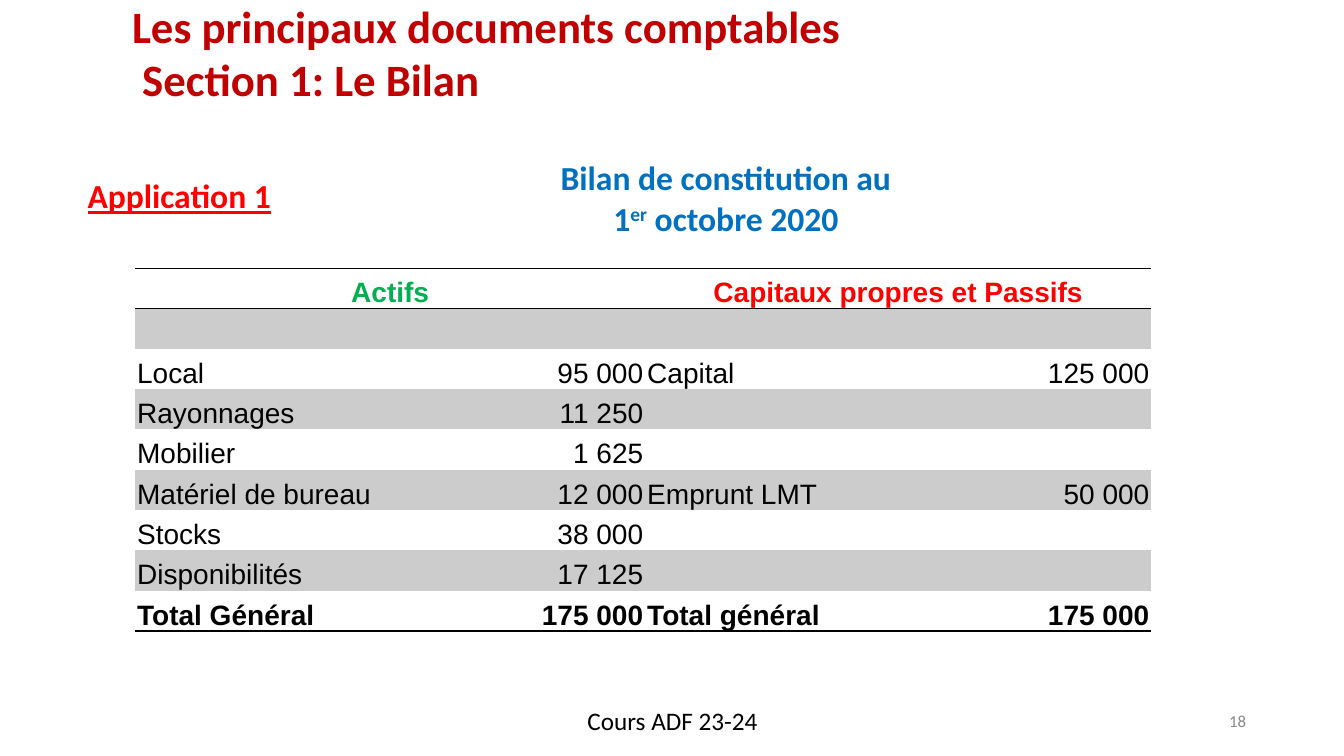
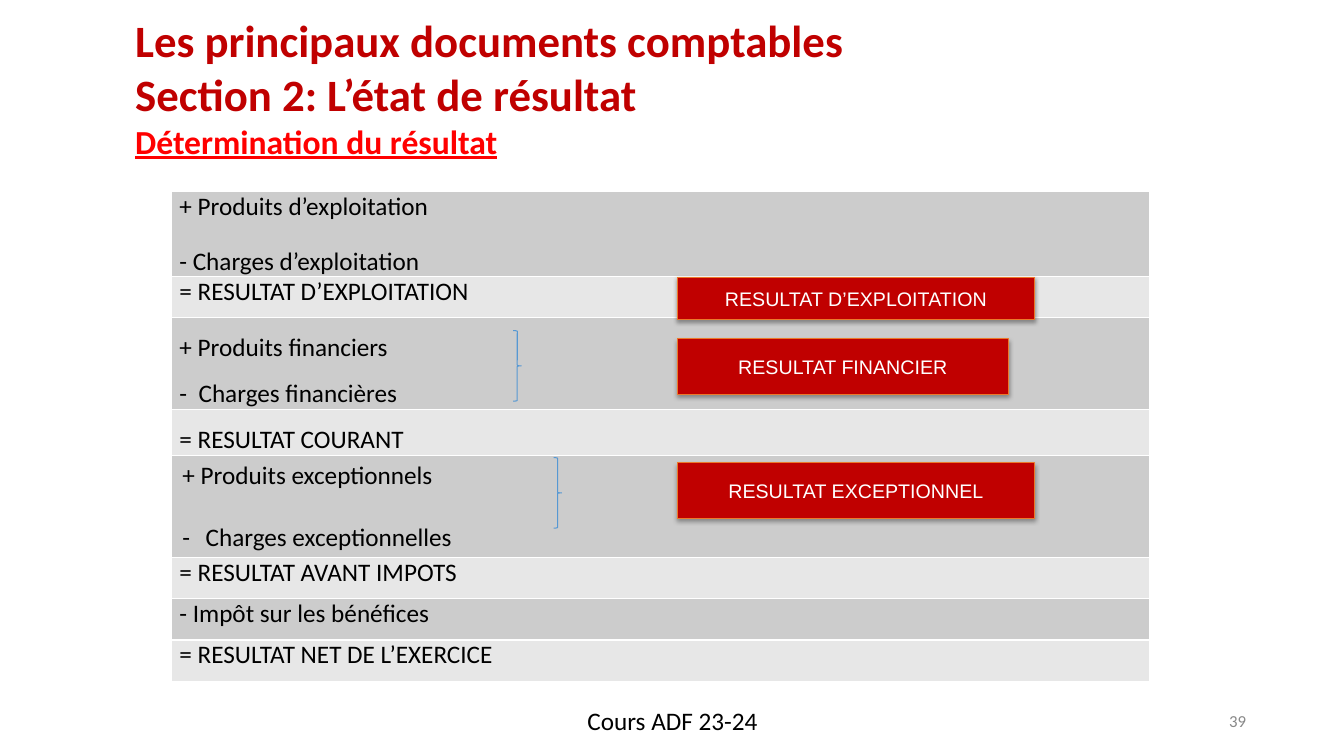
from lxml import etree
from pptx import Presentation
from pptx.dml.color import RGBColor
from pptx.enum.shapes import MSO_SHAPE
from pptx.enum.text import MSO_ANCHOR, MSO_AUTO_SIZE, PP_ALIGN
from pptx.oxml.ns import qn
from pptx.util import Inches, Pt

# Shared palette and fonts
DARK_RED, RED, BLUE, GREEN = "C00000", "FF0000", "0070C0", "00B050"
BLACK, WHITE, GREY = "000000", "FFFFFF", "888888"
BAND_DARK, BAND_LIGHT = "CCCCCC", "E7E7E7"
BRACE_BLUE, ORANGE = "5698D3", "EC792B"
HEADING_FONT, FIGURE_FONT = "Calibri", "Arial"
PLAIN_TABLE = "{2D5ABB26-0587-4C30-8999-92F81FD0307C}"
LEFT, CENTER, RIGHT = PP_ALIGN.LEFT, PP_ALIGN.CENTER, PP_ALIGN.RIGHT


def rgb(value):
    return RGBColor.from_string(value)


def add_xml(parent, tag, **attributes):
    return etree.SubElement(parent, qn(tag), {k: str(v) for k, v in attributes.items()})


class Deck:
    def __init__(self):
        self.prs = Presentation()
        self.prs.slide_width, self.prs.slide_height = Inches(13.33), Inches(7.5)
        self.slide = None

    def new_slide(self, number):
        self.slide = self.prs.slides.add_slide(self.prs.slide_layouts[5])
        self.text((4.56, 6.95, 4.22, 0.4), "Cours ADF 23-24", 18, align=CENTER)
        self.text((12.03, 7, 0.38, 0.3), number, 12, GREY, align=RIGHT,
                  anchor=MSO_ANCHOR.MIDDLE, margin=0.05)

    def run(self, paragraph, text, size, color=BLACK, font=HEADING_FONT,
            bold=False, underline=False, raised=False):
        run = paragraph.add_run()
        run.text = text
        run.font.size, run.font.name = Pt(size), font
        run.font.bold, run.font.underline = bold, underline
        run.font.color.rgb = rgb(color)
        if raised:
            run._r.get_or_add_rPr().set("baseline", "30000")

    def title(self, box, lines, spacing=1.0, gap=0):
        """Each line is (text, size, colour, underlined)."""
        title = self.slide.shapes.title
        title.left, title.top, title.width, title.height = map(Inches, box)
        frame = title.text_frame
        frame.auto_size, frame.word_wrap = MSO_AUTO_SIZE.NONE, True
        frame.vertical_anchor = MSO_ANCHOR.TOP
        for i, (text, size, color, underline) in enumerate(lines):
            paragraph = frame.add_paragraph() if i else frame.paragraphs[0]
            paragraph.alignment, paragraph.line_spacing = LEFT, spacing
            paragraph.space_before = Pt(gap if i else 0)
            self.run(paragraph, text, size, color, bold=True, underline=underline)

    def text(self, box, text, size, color=BLACK, align=LEFT,
             anchor=MSO_ANCHOR.TOP, margin=0.1, **style):
        """Text is one string or a list of (string, raised) runs."""
        frame = self.slide.shapes.add_textbox(*map(Inches, box)).text_frame
        frame.word_wrap, frame.vertical_anchor = True, anchor
        frame.margin_left = frame.margin_right = Inches(margin)
        paragraph = frame.paragraphs[0]
        paragraph.alignment = align
        for part, raised in [(text, False)] if isinstance(text, str) else text:
            self.run(paragraph, part, size, color, raised=raised, **style)

    def table(self, left, top, widths, heights):
        frame = self.slide.shapes.add_table(
            len(heights), len(widths), Inches(left), Inches(top),
            Inches(sum(widths)), Inches(sum(heights)))
        table = frame.table
        table.first_row = table.horz_banding = False
        for style_id in frame.element.iter(qn("a:tableStyleId")):
            style_id.text = PLAIN_TABLE
        for column, width in zip(table.columns, widths):
            column.width = Inches(width)
        for row, height in zip(table.rows, heights):
            row.height = Inches(height)
        return table

    def cell(self, cell, fill, margins, anchor=MSO_ANCHOR.TOP, borders=()):
        """Borders are (tag, colour) pairs, in the order lnT, lnB."""
        properties = cell._tc.get_or_add_tcPr()
        for tag, color in borders:
            line = add_xml(properties, tag, w=Pt(1))
            add_xml(add_xml(line, "a:solidFill"), "a:srgbClr", val=color)
        if fill:
            cell.fill.solid()
            cell.fill.fore_color.rgb = rgb(fill)
        else:
            cell.fill.background()
        cell.vertical_anchor = anchor
        (cell.margin_left, cell.margin_top,
         cell.margin_right, cell.margin_bottom) = map(Inches, margins)

    def hang(self, paragraph, indent, bullet):
        properties = paragraph._p.get_or_add_pPr()
        properties.set("marL", str(Inches(indent)))
        properties.set("indent", str(-Inches(indent)))
        if bullet:
            add_xml(properties, "a:buFont", typeface=HEADING_FONT)
            add_xml(properties, "a:buChar", char=bullet)

    def preset(self, kind, box, line):
        shape = self.slide.shapes.add_shape(kind, *map(Inches, box))
        shape.shadow.inherit = False
        shape.fill.background()
        shape.line.color.rgb, shape.line.width = rgb(line), Pt(0.75)
        return shape

    def brace(self, left, top):
        self.preset(MSO_SHAPE.RIGHT_BRACE, (left, top, 0.08, 0.7), BRACE_BLUE)

    def result_label(self, top, width, height, text):
        label = self.preset(MSO_SHAPE.RECTANGLE, (6.72, top, width, height), ORANGE)
        label.fill.solid()
        label.fill.fore_color.rgb = rgb(DARK_RED)
        effects = label.element.spPr.find(qn("a:effectLst"))
        shadow = add_xml(effects, "a:outerShdw", blurRad=Pt(3.1), dist=Pt(1.8),
                         dir=5400000, rotWithShape=0)
        add_xml(add_xml(shadow, "a:srgbClr", val=BLACK), "a:alpha", val=35000)
        label.text_frame.vertical_anchor = MSO_ANCHOR.MIDDLE
        paragraph = label.text_frame.paragraphs[0]
        paragraph.alignment = CENTER
        self.run(paragraph, text, 14, WHITE, FIGURE_FONT)


def balance_sheet(deck):
    deck.new_slide("18")
    deck.title((1.21, 0, 9.67, 1.63),
               [("Les principaux documents comptables", 32, DARK_RED, False),
                (" Section 1: Le Bilan", 32, DARK_RED, False)], spacing=0.9, gap=3)
    deck.text((0.77, 1.69, 6.67, 0.5), "Application 1", 24, RED, bold=True, underline=True)
    deck.text((5.28, 1.51, 3.84, 0.91),
              [("Bilan de constitution au 1", False), ("er", True), (" octobre 2020", False)],
              24, BLUE, align=CENTER, bold=True)

    # Assets on the left, equity and liabilities on the right
    rows = [
        ("Actifs", "", "Capitaux propres et Passifs", ""),
        ("", "", "", ""),
        ("Local", "95 000", "Capital", "125 000"),
        ("Rayonnages", "11 250", "", ""),
        ("Mobilier", "1 625", "", ""),
        ("Matériel de bureau", "12 000", "Emprunt LMT", "50 000"),
        ("Stocks", "38 000", "", ""),
        ("Disponibilités", "17 125", "", ""),
        ("Total Général", "175 000", "Total général", "175 000"),
    ]
    last = len(rows) - 1
    rules = {0: [("a:lnT", BLACK), ("a:lnB", BLACK)], last: [("a:lnB", BLACK)]}
    widths = (2.27, 1.11, 1.68, 2.2, 0.84, 1.98)
    table = deck.table(1.34, 2.66, widths, [0.4] * len(rows))
    for r, row in enumerate(rows):
        for c in range(len(widths)):
            deck.cell(table.cell(r, c), BAND_DARK if r % 2 else WHITE,
                      (0.02, 0.02, 0.02, 0), MSO_ANCHOR.BOTTOM, rules.get(r, ()))
        # Labels start each half, amounts end it
        for i, (c, text) in enumerate(zip((0, 2, 3, 5), row)):
            if text:
                paragraph = table.cell(r, c).text_frame.paragraphs[0]
                paragraph.alignment = CENTER if r == 0 else RIGHT if i % 2 else LEFT
                color = (GREEN, RED)[i // 2] if r == 0 else BLACK
                deck.run(paragraph, text, 20, color, FIGURE_FONT, bold=r in (0, last))
        if r < last:
            for c in (0, 3):
                table.cell(r, c).merge(table.cell(r, c + (1 if r else 2)))


def income_statement(deck):
    deck.new_slide("39")
    deck.title((1.24, 0.08, 10.79, 1.55),
               [("Les principaux documents comptables", 32, DARK_RED, False),
                ("Section 2: L’état de résultat", 32, DARK_RED, False),
                ("Détermination du résultat", 24, RED, True)])

    # Steps: height, lines, line spacing, gap between lines, hanging indent, bullet
    steps = [
        (0.41, (), 1, 0, 0, ""),
        (0.84, ("+ Produits d’exploitation", "- Charges d’exploitation"), 1, 17, 0, ""),
        (0.41, ("= RESULTAT D’EXPLOITATION",), 1, 0, 0, ""),
        (0.91, ("+ Produits financiers", "-\tCharges financières"), 1.5, 0, 0.19, ""),
        (0.46, ("= RESULTAT COURANT",), 1.5, 0, 0, ""),
        (1.01, ("+ Produits exceptionnels", "Charges exceptionnelles"), 1, 22, 0.23, "-"),
        (0.41, ("= RESULTAT AVANT IMPOTS",), 1, 0, 0, ""),
        (0.41, ("- Impôt sur les bénéfices",), 1, 0, 0, ""),
        (0.41, ("= RESULTAT NET DE L’EXERCICE",), 1, 0, 0, ""),
    ]
    table = deck.table(1.71, 1.49, (9.69,), [step[0] for step in steps])
    for r, (_, lines, spacing, gap, indent, bullet) in enumerate(steps):
        cell = table.cell(r, 0)
        fill = (BAND_DARK if r % 2 else BAND_LIGHT) if lines else None
        margins = (0.1, 0.05, 0.1, 0.05) if bullet else (0.07, 0, 0.07, 0)
        borders = [("a:lnT", WHITE), ("a:lnB", WHITE)] if lines else ()
        deck.cell(cell, fill, margins, borders=borders)
        for i, line in enumerate(lines):
            frame = cell.text_frame
            paragraph = frame.add_paragraph() if i else frame.paragraphs[0]
            paragraph.line_spacing = float(spacing)
            if i:
                paragraph.space_before = Pt(gap)
                if indent:
                    deck.hang(paragraph, indent, bullet)
            deck.run(paragraph, line, 18)

    # Braces and the results they lead to
    deck.brace(5.09, 3.28)
    deck.brace(5.49, 4.54)
    deck.result_label(2.75, 3.54, 0.42, "RESULTAT D’EXPLOITATION")
    deck.result_label(3.36, 3.28, 0.55, "RESULTAT FINANCIER")
    deck.result_label(4.59, 3.54, 0.55, "RESULTAT EXCEPTIONNEL")


def main():
    deck = Deck()
    balance_sheet(deck)
    income_statement(deck)
    deck.prs.save("out.pptx")


if __name__ == "__main__":
    main()
